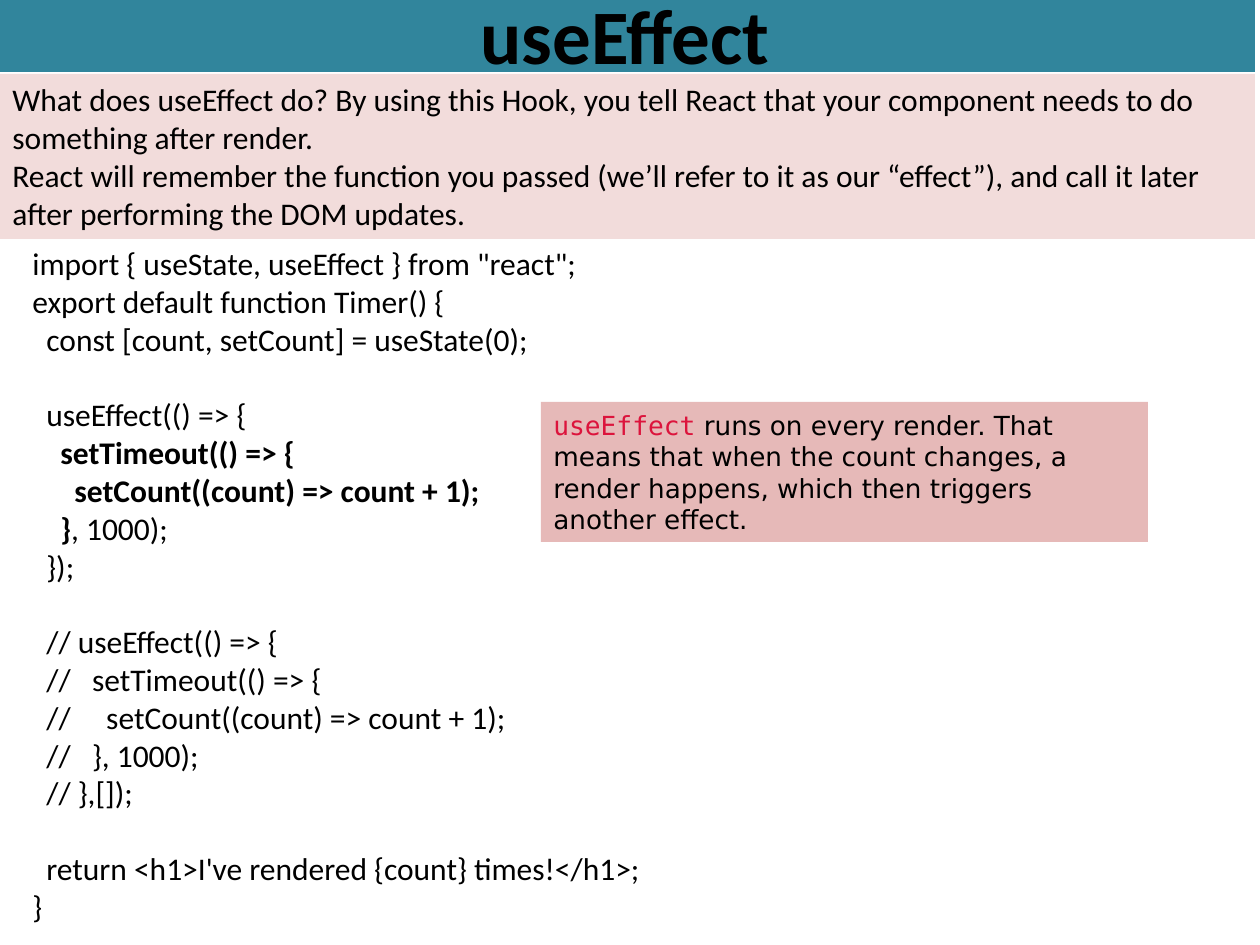
from pptx import Presentation
from pptx import util as u
from pptx.dml.color import RGBColor
from pptx.enum import shapes, text

COLORS = {
    "title": "31859C",
    "intro": "F2DCDB",
    "note": "E6B9B8",
    "text": "000000",
    "keyword": "DC143C",
}
BODY = {"name": "Calibri", "size": u.Pt(18), "bold": False}
BOLD = {**BODY, "bold": True}
TITLE = {**BOLD, "size": u.Pt(44)}
NOTE = {"name": "DejaVu Sans", "size": u.Pt(15)}
KEYWORD = {**NOTE, "name": "DejaVu Sans Mono", "color": "keyword"}

INTRO = [
    "What does useEffect do? By using this Hook, you tell React that your "
    "component needs to do something after render.",
    "React will remember the function you passed (we’ll refer to it as our "
    "“effect”), and call it later after performing the DOM updates.",
]
CODE_BLOCKS = [
    [
        (0, [('import { useState, useEffect } from "react";', BODY)]),
        (0, [("export default function Timer() {", BODY)]),
        (1, [("const [count, setCount] = useState(0);", BODY)]),
    ],
    [
        (1, [("useEffect(() => {", BODY)]),
        (2, [("setTimeout(() => {", BOLD)]),
        (3, [("setCount((count) => count + 1);", BOLD)]),
        (2, [("}", BOLD), (", 1000);", BODY)]),
        (1, [("});", BODY)]),
    ],
    [
        (1, [("// useEffect(() => {", BODY)]),
        (1, [("//   setTimeout(() => {", BODY)]),
        (1, [("//     setCount((count) => count + 1);", BODY)]),
        (1, [("//   }, 1000);", BODY)]),
        (1, [("// },[]);", BODY)]),
    ],
    [
        (1, [("return <h1>I've rendered {count} times!</h1>;", BODY)]),
        (0, [("}", BODY)]),
    ],
]


class Deck:
    PX = 914400 / 126
    INDENT = 14
    LINE = u.Pt(21.6)

    def __init__(self, width, height):
        self.prs = Presentation()
        self.prs.slide_width = self.px(width)
        self.prs.slide_height = self.px(height)
        self.s = self.prs.slides.add_slide(self.prs.slide_layouts[6])

    def px(self, n):
        return u.Emu(round(n * self.PX))

    def runs(self, p, parts):
        for content, style in parts:
            r = p.add_run()
            r.text = content
            for key, value in style.items():
                if key != "color":
                    setattr(r.font, key, value)
            color = COLORS[style.get("color", "text")]
            r.font.color.rgb = RGBColor.from_string(color)

    def paragraphs(self, tf, lines, align=text.PP_ALIGN.LEFT):
        for i, parts in enumerate(lines):
            p = tf.add_paragraph() if i else tf.paragraphs[0]
            p.alignment = align
            self.runs(p, parts)

    def panel(self, box, fill, lines, **format_values):
        sp = self.s.shapes.add_shape(
            shapes.MSO_SHAPE.RECTANGLE, *map(self.px, box))
        sp.shadow.inherit = False
        sp.fill.solid()
        sp.fill.fore_color.rgb = RGBColor.from_string(COLORS[fill])
        sp.line.fill.background()
        align = format_values.pop("align", text.PP_ALIGN.LEFT)
        tf = sp.text_frame
        for key, value in {"word_wrap": True, **format_values}.items():
            setattr(tf, key, value)
        self.paragraphs(tf, lines, align)

    def code(self, box, blocks):
        tf = self.s.shapes.add_textbox(*map(self.px, box)).text_frame
        tf.word_wrap = True
        lines = [line for block in blocks for line in block]
        self.paragraphs(tf, [parts for _, parts in lines])
        for p, (level, _) in zip(tf.paragraphs, lines):
            pPr = p._p.get_or_add_pPr()
            pPr.set("marL", str(self.px(level * self.INDENT)))
            pPr.set("indent", "0")
        start = 0
        for block in blocks[:-1]:
            start += len(block)
            tf.paragraphs[start].space_before = self.LINE


def main():
    middle = text.MSO_ANCHOR.MIDDLE
    deck = Deck(1260, 945)
    deck.panel((-5, -4, 1260, 76), "title", [[("useEffect", TITLE)]],
               vertical_anchor=middle, align=text.PP_ALIGN.CENTER)
    deck.code((20, 238, 1240, 699), CODE_BLOCKS)
    deck.panel((0, 74, 1255, 165), "intro",
               [[(line, BODY)] for line in INTRO],
               vertical_anchor=text.MSO_ANCHOR.TOP)
    deck.panel((541, 402, 607, 140), "note", [[
        ("useEffect", KEYWORD),
        ("\u00a0runs on every render. That means that when the count changes, "
         "a render happens, which then triggers another effect.", NOTE),
    ]], vertical_anchor=middle)
    deck.prs.save("out.pptx")


if __name__ == "__main__":
    main()
